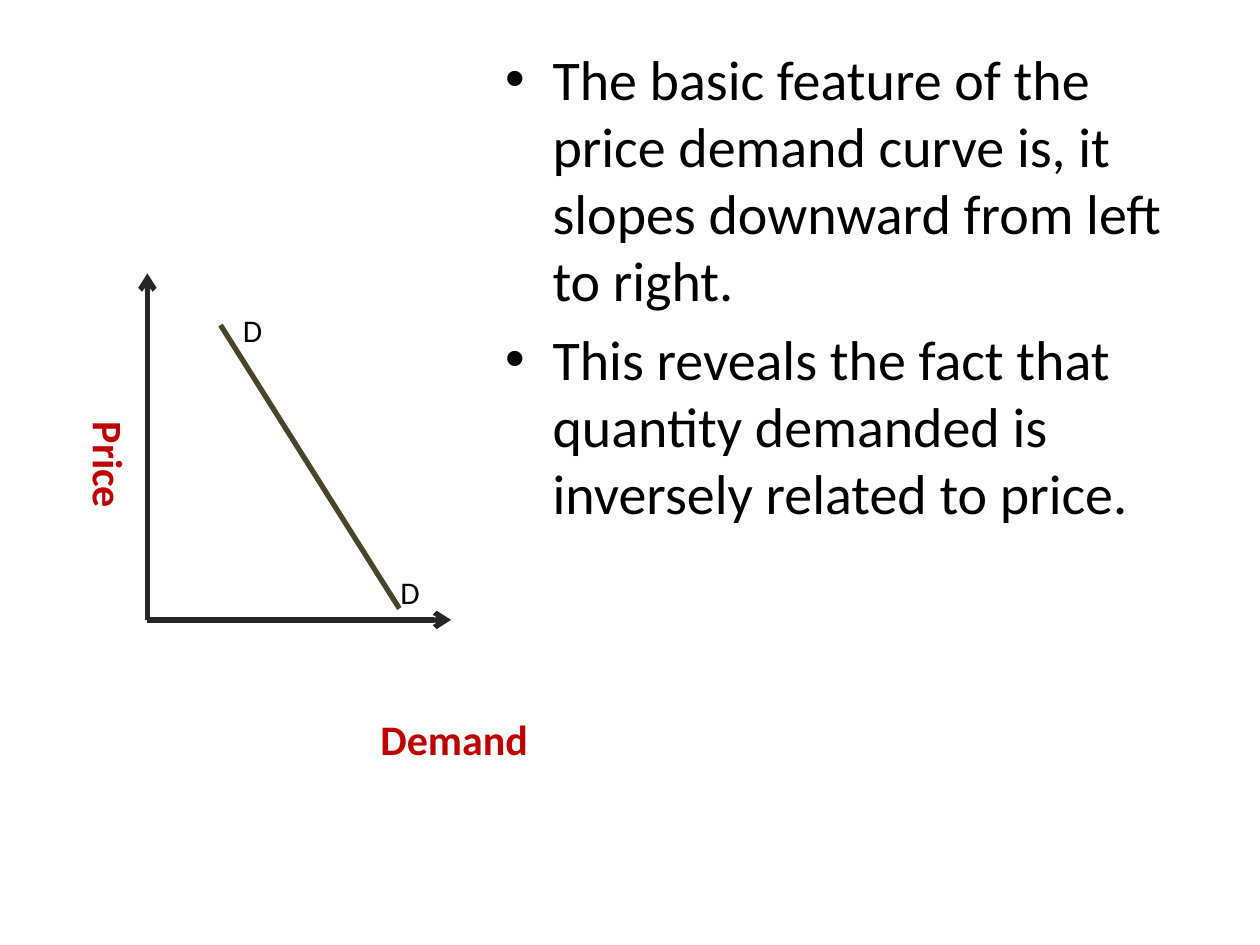
"""Build a slide that explains the downward slope of the demand curve."""
from lxml.etree import SubElement
from pptx import Presentation
from pptx.dml.color import RGBColor
from pptx.enum.shapes import MSO_CONNECTOR as Connector
from pptx.oxml.ns import qn
from pptx.util import Inches, Pt

BLACK = RGBColor(0x00, 0x00, 0x00)
AXIS = RGBColor(0x26, 0x26, 0x26)
CURVE = RGBColor(0x4A, 0x45, 0x2A)
RED = RGBColor(0xC0, 0x00, 0x00)

BODY = {"size": Pt(32)}
AXIS_NAME = {"size": Pt(24), "bold": True}
CURVE_NAME = {"size": Pt(18)}

POINTS = (
    "The basic feature of the price demand curve is, it slopes downward from left to right.",
    "This reveals the fact that quantity demanded is inversely related to price.",
)
ORIGIN = (1.17, 4.92)
AXIS_MIDDLE = (1.17, 3)


class SlideBuilder:
    """Hold the style and the current slide."""

    font_name = "Calibri"
    line_width = Pt(3)

    def __init__(self, slide):
        self.slide = slide

    def format_text(self, paragraph, text, color, values):
        run = paragraph.add_run()
        run.text = text
        run.font.name = self.font_name
        run.font.color.rgb = color
        for name, value in values.items():
            setattr(run.font, name, value)

    def bullets(self, texts, left, top, width, height):
        shape = self.slide.placeholders[1]
        box = {"left": left, "top": top, "width": width, "height": height}
        for name, value in box.items():
            setattr(shape, name, Inches(value))
        frame = shape.text_frame
        for index, text in enumerate(texts):
            paragraph = frame.add_paragraph() if index else frame.paragraphs[0]
            self.format_text(paragraph, text, BLACK, BODY)

    def line(self, start, end, color, arrow=False):
        ends = [Inches(value) for value in (*start, *end)]
        connector = self.slide.shapes.add_connector(Connector.STRAIGHT, *ends)
        connector.line.color.rgb = color
        connector.line.width = self.line_width
        if arrow:
            SubElement(connector.line._get_or_add_ln(), qn("a:tailEnd"), type="arrow")
        SubElement(connector._element.spPr, qn("a:effectLst"))

    def label(self, text, box, color, values, vertical=False):
        shape = self.slide.shapes.add_textbox(*[Inches(value) for value in box])
        frame = shape.text_frame
        frame.word_wrap = True
        if vertical:
            frame._txBody.bodyPr.set("vert", "vert")
        self.format_text(frame.paragraphs[0], text, color, values)


def main():
    presentation = Presentation()
    presentation.slide_width = Inches(10)
    presentation.slide_height = Inches(7.5)
    slide = presentation.slides.add_slide(presentation.slide_layouts[1])
    title = slide.shapes.title._element
    title.getparent().remove(title)

    builder = SlideBuilder(slide)
    builder.bullets(POINTS, 3.91, 0.3, 5.59, 6.4)
    builder.line(AXIS_MIDDLE, ORIGIN, AXIS)
    builder.line(AXIS_MIDDLE, (1.17, 2.17), AXIS, arrow=True)
    builder.line(ORIGIN, (3.58, 4.92), AXIS, arrow=True)
    builder.line((1.75, 2.58), (3.17, 4.83), CURVE)
    builder.label("Price", (0.51, 3.25, 0.61, 1), RED, AXIS_NAME, vertical=True)
    builder.label("Demand", (2.92, 5.61, 1.42, 0.5), RED, AXIS_NAME)
    builder.label("D", (1.83, 2.42, 0.36, 0.4), BLACK, CURVE_NAME)
    builder.label("D", (3.08, 4.5, 0.52, 0.4), BLACK, CURVE_NAME)
    presentation.save("out.pptx")


if __name__ == "__main__":
    main()
